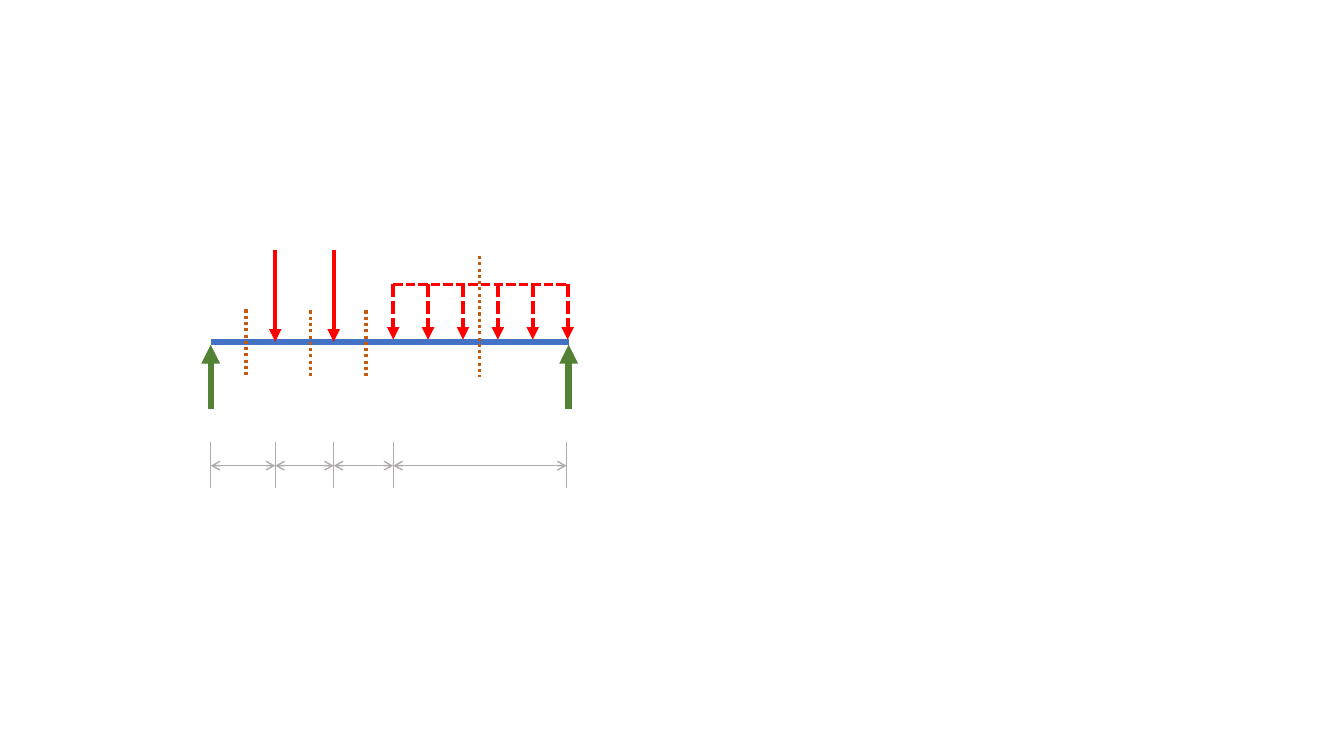
from itertools import pairwise

from lxml import etree
from pptx import Presentation
from pptx.dml.color import RGBColor
from pptx.enum import dml, shapes
from pptx.oxml import ns
from pptx.util import Inches, Pt

BEAM_BLUE = RGBColor(0x44, 0x72, 0xC4)
LOAD_RED = RGBColor(0xFF, 0x00, 0x00)
REACTION_GREEN = RGBColor(0x54, 0x82, 0x35)
DIMENSION_GREY = RGBColor(0xAF, 0xAB, 0xAB)
SECTION_ORANGE = RGBColor(0xC5, 0x5A, 0x11)

DASHED = dml.MSO_LINE.SQUARE_DOT
DOTTED = dml.MSO_LINE.ROUND_DOT

BEAM_LEFT, BEAM_RIGHT, BEAM_Y = 2.09, 5.64, 3.39
POINT_LOADS = [2.73, 3.31]
SPREAD_LEFT, SPREAD_RIGHT, SPREAD_TOP = 3.9, 5.63, 2.82
SPREAD_ARROWS = 6
DIMENSION_MARKS = [BEAM_LEFT, *POINT_LOADS, SPREAD_LEFT, 5.62]
SECTION_CUTS = [(2.44, 3.07, 3.72), (3.08, 3.08, 3.73),
                (3.63, 3.08, 3.73), (4.76, 2.54, 3.74)]


class BeamDiagram:
    def __init__(self, page):
        self.page = page

    def line(self, start, end, color, width, dash=None, head=None, tail=None):
        """Draw a straight line; head is the arrow at start, tail at end."""
        connector = self.page.shapes.add_connector(
            shapes.MSO_CONNECTOR.STRAIGHT,
            *(Inches(value) for value in (*start, *end)))
        connector.line.color.rgb = color
        connector.line.width = Pt(width)
        if dash:
            connector.line.dash_style = dash
        properties = connector.element.spPr
        outline = properties.find(ns.qn("a:ln"))
        for tag, arrow in (("a:headEnd", head), ("a:tailEnd", tail)):
            if arrow:
                etree.SubElement(outline, ns.qn(tag), type=arrow)
        etree.SubElement(properties, ns.qn("a:effectLst"))

    def beam(self):
        self.line((BEAM_LEFT, BEAM_Y), (BEAM_RIGHT, BEAM_Y), BEAM_BLUE, 4.5)

    def point_load(self, x):
        self.line((x, 2.48), (x, BEAM_Y), LOAD_RED, 3, tail="triangle")

    def spread_load(self):
        step = (SPREAD_RIGHT - SPREAD_LEFT) / (SPREAD_ARROWS - 1)
        for index in range(SPREAD_ARROWS):
            x = SPREAD_LEFT + index * step
            self.line((x, SPREAD_TOP), (x, 3.37), LOAD_RED, 3, DASHED,
                      tail="triangle")
        self.line((SPREAD_LEFT, SPREAD_TOP), (BEAM_RIGHT, SPREAD_TOP),
                  LOAD_RED, 2.25, DASHED)

    def reaction(self, x):
        self.line((x, 4.06), (x, 3.42), REACTION_GREEN, 4.5, tail="triangle")

    def dimensions(self, marks):
        for x in marks:
            self.line((x, 4.39), (x, 4.84), DIMENSION_GREY, 1)
        for left, right in pairwise(marks):
            self.line((right, 4.62), (left, 4.62), DIMENSION_GREY, 1,
                      head="arrow", tail="arrow")

    def section_cut(self, x, top, bottom):
        self.line((x, top), (x, bottom), SECTION_ORANGE, 2.25, DOTTED)


def main():
    deck = Presentation()
    deck.slide_width, deck.slide_height = Inches(13.33), Inches(7.5)
    blank_layout = deck.slide_layouts[6]
    diagram = BeamDiagram(deck.slides.add_slide(blank_layout))

    diagram.beam()
    for x in POINT_LOADS:
        diagram.point_load(x)
    diagram.spread_load()
    for x in (BEAM_LEFT, BEAM_RIGHT):
        diagram.reaction(x)
    diagram.dimensions(DIMENSION_MARKS)
    for cut in SECTION_CUTS:
        diagram.section_cut(*cut)

    deck.save("out.pptx")


if __name__ == "__main__":
    main()
